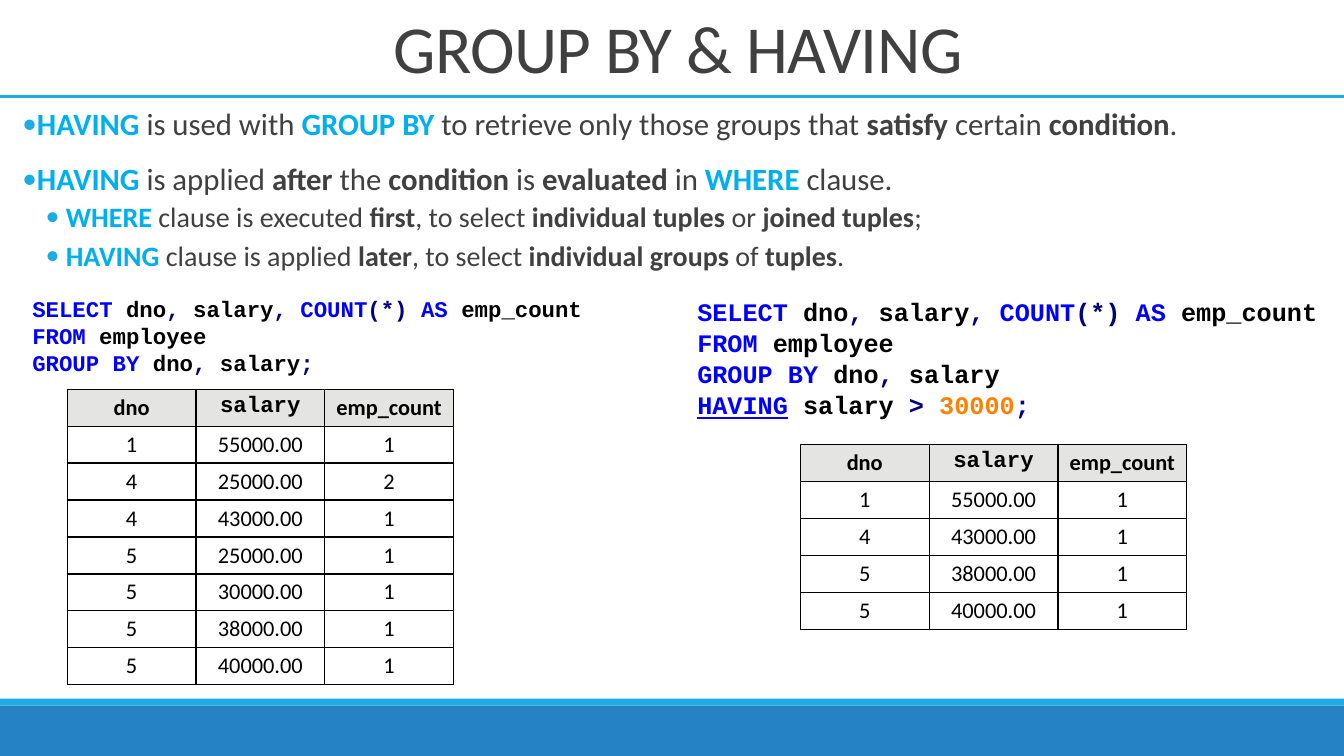
from lxml import etree
from pptx import Presentation
from pptx.dml import color
from pptx.enum import shapes, text
from pptx.oxml import ns
from pptx.util import Pt

SANS, MONO = "Calibri", "Courier New"
SKY, GREY, BLACK = "1CACE3", "404040", "000000"

# Run styles: colour, bold, underline
STYLES = {
    "plain": (GREY, False, False),
    "bold": (GREY, True, False),
    "key": ("00AFEF", True, False),
    "word": ("0000FF", True, False),
    "mark": ("0000FF", True, True),
    "name": (BLACK, True, False),
    "sign": ("000080", True, False),
    "num": ("FF8000", True, False),
    "cell": (BLACK, False, False),
}

# Bullets: level, space before, runs
POINTS = [
    (0, 0, [("HAVING ", "key"), ("is used with ", "plain"), ("GROUP BY ", "key"),
            ("to retrieve only those groups that ", "plain"), ("satisfy ", "bold"),
            ("certain ", "plain"), ("condition", "bold"), (".", "plain")]),
    (0, 12.8, [("HAVING ", "key"), ("is applied ", "plain"), ("after ", "bold"),
               ("the ", "plain"), ("condition ", "bold"), ("is ", "plain"),
               ("evaluated ", "bold"), ("in ", "plain"), ("WHERE ", "key"),
               ("clause.", "plain")]),
    (1, 1.8, [("WHERE ", "key"), ("clause is executed ", "plain"), ("first", "bold"),
              (", to select ", "plain"), ("individual tuples ", "bold"),
              ("or ", "plain"), ("joined tuples", "bold"), (";", "plain")]),
    (1, 3.6, [("HAVING ", "key"), ("clause is applied ", "plain"), ("later", "bold"),
              (", to select ", "plain"), ("individual groups ", "bold"),
              ("of ", "plain"), ("tuples", "bold"), (".", "plain")]),
]

# Query lines shared by both examples
QUERY = [
    [("SELECT ", "word"), ("dno", "name"), (",", "sign"), (" salary", "name"),
     (", ", "sign"), ("COUNT", "word"), ("(*) ", "sign"), ("AS ", "word"),
     ("emp_count", "name")],
    [("FROM", "word"), (" employee", "name")],
    [("GROUP BY ", "word"), ("dno", "name"), (",", "sign"), (" salary", "name")],
]
END = [(";", "sign")]
FILTER = [("HAVING", "mark"), (" salary ", "name"), ("> ", "sign"),
          ("30000", "num")] + END

HEAD = ("dno", "salary", "emp_count")
GROUPS = [(1, 55000, 1), (4, 25000, 2), (4, 43000, 1), (5, 25000, 1),
          (5, 30000, 1), (5, 38000, 1), (5, 40000, 1)]


def rgb(code):
    return color.RGBColor.from_string(code)


def add_run(para, words, style, size, face=SANS):
    run = para.add_run()
    run.text = words
    tint, bold, under = STYLES[style]
    font = run.font
    font.name, font.size, font.bold, font.underline = face, Pt(size), bold, under
    font.color.rgb = rgb(tint)
    return run


def add_box(slide, left, top, width, height):
    frame = slide.shapes.add_textbox(Pt(left), Pt(top), Pt(width), Pt(height)).text_frame
    frame.word_wrap = True
    return frame


def next_para(frame, index):
    return frame.add_paragraph() if index else frame.paragraphs[0]


def add_bar(slide, top, height, tint):
    bar = slide.shapes.add_shape(shapes.MSO_SHAPE.RECTANGLE, 0, Pt(top), Pt(960), Pt(height))
    bar.shadow.inherit = False
    bar.fill.solid()
    bar.fill.fore_color.rgb = rgb(tint)
    bar.line.fill.background()


def add_rule(slide, top):
    rule = slide.shapes.add_connector(shapes.MSO_CONNECTOR.STRAIGHT, 0, Pt(top), Pt(960), Pt(top))
    rule.line.color.rgb = rgb(SKY)
    rule.line.width = Pt(2.25)
    etree.SubElement(rule._element.spPr, ns.qn("a:effectLst"))


def set_title(slide):
    title = slide.shapes.title
    title.left, title.top, title.width, title.height = Pt(24), Pt(3.6), Pt(912), Pt(60)
    frame = title.text_frame
    frame.margin_left = frame.margin_right = frame.margin_bottom = 0
    frame.margin_top = Pt(1)
    frame.vertical_anchor = text.MSO_ANCHOR.TOP
    para = frame.paragraphs[0]
    para.alignment = text.PP_ALIGN.LEFT
    para._p.get_or_add_pPr().set("marL", str(Pt(257)))
    run = add_run(para, "GROUP BY & HAVING", "plain", 48)
    run._r.get_or_add_rPr().set("spc", "-40")


def add_bullet(para, left, hang, scale):
    props = para._p.get_or_add_pPr()
    props.set("marL", str(Pt(left)))
    props.set("indent", str(-Pt(hang)))
    tint = etree.SubElement(props, ns.qn("a:buClr"))
    etree.SubElement(tint, ns.qn("a:srgbClr"), val=SKY)
    etree.SubElement(props, ns.qn("a:buSzPct"), val=str(scale * 1000))
    etree.SubElement(props, ns.qn("a:buFont"), typeface=SANS)
    etree.SubElement(props, ns.qn("a:buChar"), char="•")


def add_points(slide):
    frame = add_box(slide, 16, 72, 934, 124)
    frame.margin_left = frame.margin_right = frame.margin_bottom = 0
    frame.margin_top = Pt(3)
    for index, (level, gap, runs) in enumerate(POINTS):
        para = next_para(frame, index)
        para.level = level
        add_bullet(para, *((31, 14.4, 100) if level else (8.6, 8.6, 95)))
        para.space_before = Pt(gap)
        for words, style in runs:
            add_run(para, words, style, 20 if level else 22)


def add_query(slide, left, top, width, size, lines):
    pitch = size * 1.22
    frame = add_box(slide, left, top, width, pitch * len(lines) + 7.2)
    for index, runs in enumerate(lines):
        para = next_para(frame, index)
        para.line_spacing = Pt(pitch)
        for words, style in runs:
            add_run(para, words, style, size, MONO)


def add_edges(cell):
    props = cell._tc.get_or_add_tcPr()
    for side in ("lnL", "lnR", "lnT", "lnB"):
        edge = etree.SubElement(props, ns.qn("a:" + side), w=str(Pt(1)))
        fill = etree.SubElement(edge, ns.qn("a:solidFill"))
        etree.SubElement(fill, ns.qn("a:srgbClr"), val=BLACK)


def fill_cell(cell, words, head, face):
    add_edges(cell)
    cell.margin_top = cell.margin_bottom = Pt(3.4)
    cell.margin_left = cell.margin_right = Pt(4)
    if head:
        cell.fill.solid()
        cell.fill.fore_color.rgb = rgb("E4E4E2")
    else:
        cell.fill.background()
    para = cell.text_frame.paragraphs[0]
    para.alignment = text.PP_ALIGN.CENTER
    add_run(para, words, "name" if head else "cell", 16, face)


def add_grid(slide, left, top, groups):
    rows = [HEAD] + [(str(dno), f"{pay:.2f}", str(count)) for dno, pay, count in groups]
    high = 26.4
    grid = slide.shapes.add_table(len(rows), len(HEAD), Pt(left), Pt(top),
                                  Pt(276), Pt(high * len(rows))).table
    grid.first_row = grid.horz_banding = False
    for r, row in enumerate(rows):
        grid.rows[r].height = Pt(high)
        for c, words in enumerate(row):
            fill_cell(grid.cell(r, c), words, r == 0, MONO if words == "salary" else SANS)


def main():
    deck = Presentation()
    deck.slide_width, deck.slide_height = Pt(960), Pt(540)
    slide = deck.slides.add_slide(deck.slide_layouts[5])
    # Footer bars, title and rule
    add_bar(slide, 504, 36, "2583C5")
    add_bar(slide, 499, 5, SKY)
    set_title(slide)
    add_rule(slide, 69)
    # Explanation
    add_points(slide)
    # Grouping only
    add_query(slide, 16, 206.6, 416, 16, QUERY[:2] + [QUERY[2] + END])
    add_grid(slide, 48, 278, GROUPS)
    # Grouping with a filter on salary
    add_query(slide, 491, 208, 468, 18, QUERY + [FILTER])
    add_grid(slide, 571.7, 317.5, [g for g in GROUPS if g[1] > 30000])
    deck.save("out.pptx")


if __name__ == "__main__":
    main()
